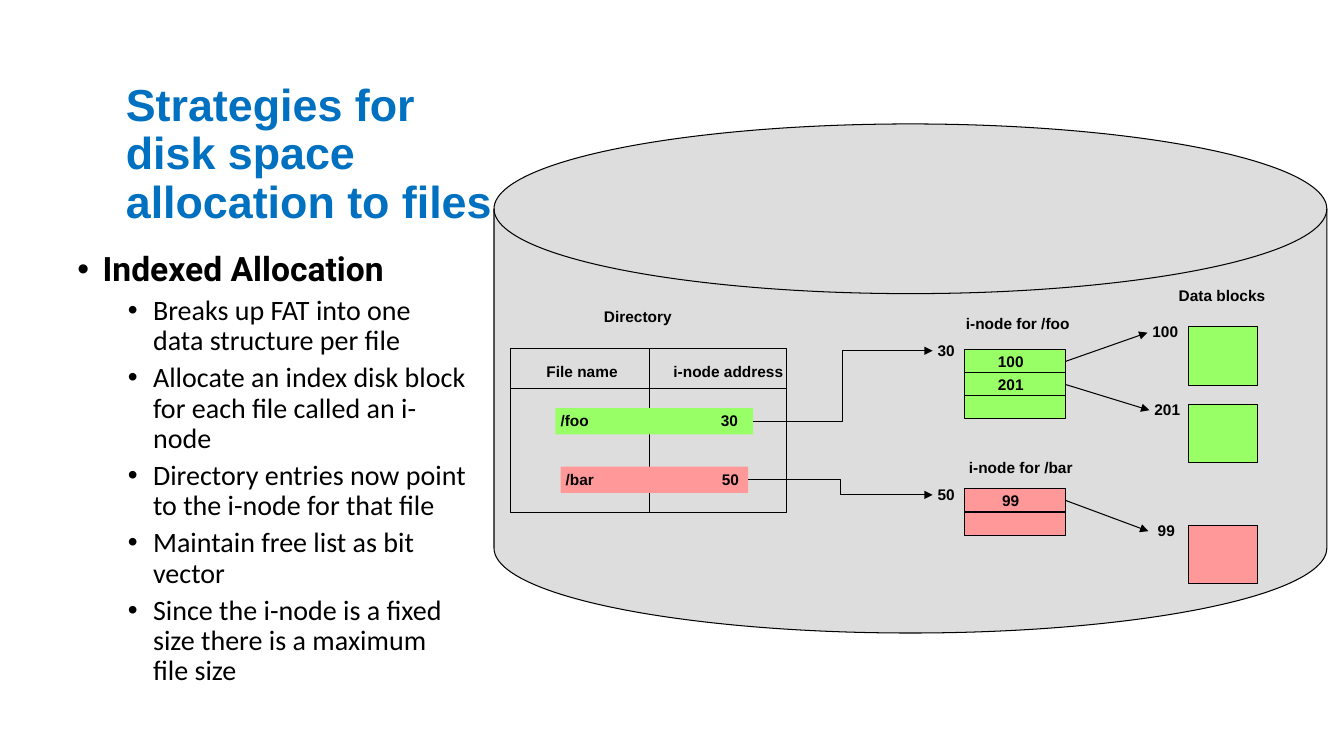
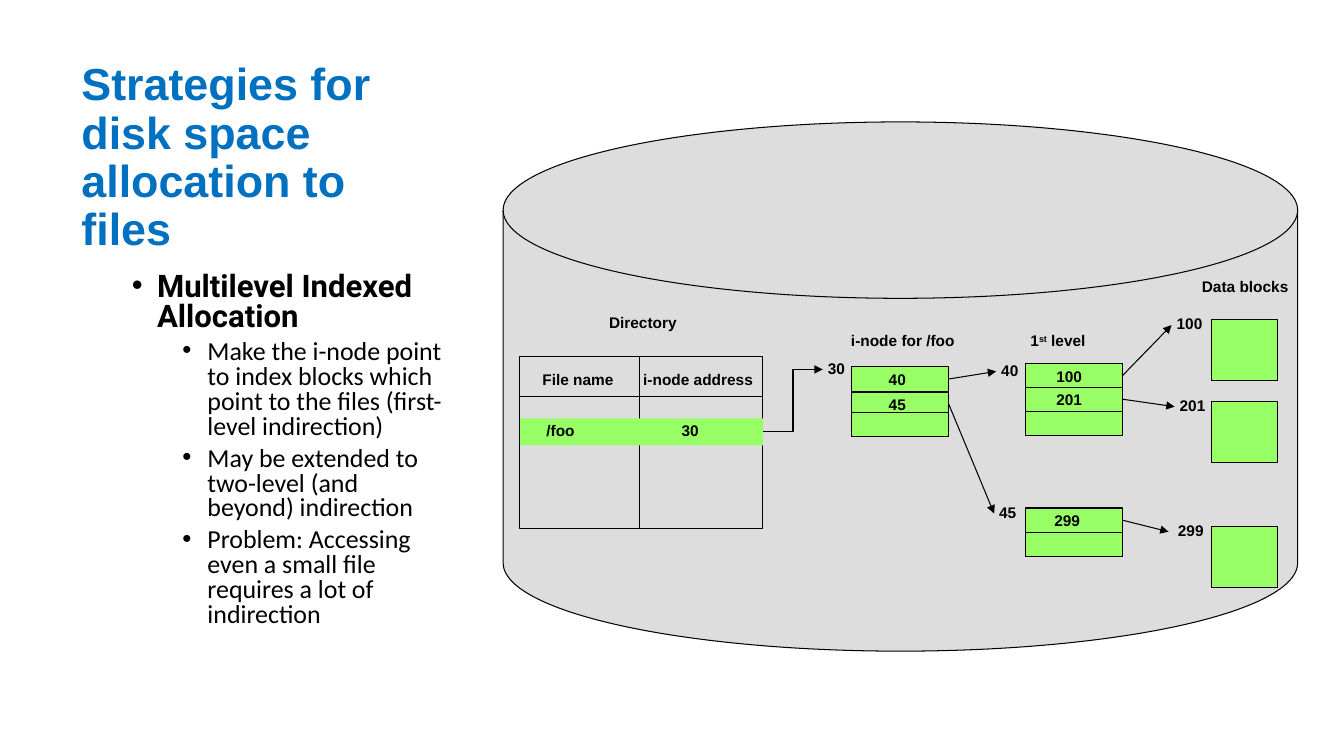
import pptx
import pptx.util
import pptx.dml.color
import pptx.enum.shapes
import pptx.enum.text
import pptx.oxml.ns
import lxml.etree

Inches = pptx.util.Inches
Pt = pptx.util.Pt
SHAPE = pptx.enum.shapes.MSO_SHAPE
CONNECTOR = pptx.enum.shapes.MSO_CONNECTOR
ANCHOR = pptx.enum.text.MSO_ANCHOR
ALIGN = pptx.enum.text.PP_ALIGN
qn = pptx.oxml.ns.qn

BLACK, BLUE, GREY = "000000", "0070C0", "DDDDDD"
GREEN, PINK = "99FF66", "FF9999"
TITLE = "Strategies for disk space allocation to files"
TITLE_FONT = {"name": "Arial", "size": Pt(32), "bold": True}
LABEL_FONT = {"name": "Arial", "size": Pt(11), "bold": True}
LABEL_FRAME = {
    "margin_left": Inches(0.05),
    "margin_right": Inches(0.05),
    "margin_top": Inches(0.03),
    "margin_bottom": Inches(0.03),
    "word_wrap": True,
}


def color(value):
    return pptx.dml.color.RGBColor.from_string(value)


def apply_format(target, values):
    for name, value in values.items():
        setattr(target, name, value)


class DiskDeck:
    """Holds the shared style and draws on the current slide."""

    def __init__(self):
        self.deck = pptx.Presentation()
        self.deck.slide_width = Inches(13.33)
        self.deck.slide_height = Inches(7.5)

    def start(self, row, cell, block):
        self.page = self.deck.slides.add_slide(self.deck.slide_layouts[6])
        self.row, self.cell_size, self.block_size = row, cell, block

    def add_span(self, para, text, font=LABEL_FONT, fill=BLACK):
        span = para.add_run()
        span.text = text
        apply_format(span.font, font)
        span.font.color.rgb = color(fill)
        return span

    def text_box(self, left, top, width, height, frame):
        box = self.page.shapes.add_textbox(*map(Inches, (left, top, width, height)))
        apply_format(box.text_frame, frame)
        return box

    def title(self, left, top, width, height):
        frame = {"word_wrap": True, "vertical_anchor": ANCHOR.MIDDLE}
        box = self.text_box(left, top, width, height, frame)
        para = box.text_frame.paragraphs[0]
        para.line_spacing = 0.9
        self.add_span(para, TITLE, TITLE_FONT, BLUE)

    def body(self, area, heading, points, sizes, spacing):
        frame = self.text_box(*area, {"word_wrap": True}).text_frame
        heading_font = {"name": "Roboto", "size": Pt(sizes[0]), "bold": True}
        point_font = {"name": "Calibri", "size": Pt(sizes[1]), "bold": False}
        lines = [(heading, heading_font, 0.75)]
        lines += [(point, point_font, 1.25) for point in points]
        for index, (text, font, indent) in enumerate(lines):
            para = frame.add_paragraph() if index else frame.paragraphs[0]
            apply_format(para, {"line_spacing": spacing, "space_before": Pt(5)})
            self.add_span(para, text, font)
            self.bullet(para, indent)

    def bullet(self, para, indent):
        properties = para._p.get_or_add_pPr()
        properties.set("marL", str(Inches(indent)))
        properties.set("indent", str(Inches(-0.25)))
        lxml.etree.SubElement(properties, qn("a:buFont")).set("typeface", "Arial")
        lxml.etree.SubElement(properties, qn("a:buChar")).set("char", "•")

    def label(self, text, left, top, width):
        box = self.text_box(left, top, width, self.row, LABEL_FRAME)
        self.add_span(box.text_frame.paragraphs[0], text)
        return box

    def shape(self, area, fill=None, outlined=True, kind=SHAPE.RECTANGLE):
        box = self.page.shapes.add_shape(kind, *map(Inches, area))
        box.shadow.inherit = False
        if fill:
            box.fill.solid()
            box.fill.fore_color.rgb = color(fill)
        else:
            box.fill.background()
        if outlined:
            box.line.color.rgb = color(BLACK)
            box.line.width = Pt(0.75)
        else:
            box.line.fill.background()
        return box

    def disk(self, *area):
        self.shape(area, GREY, kind=SHAPE.FLOWCHART_MAGNETIC_DISK)

    def line(self, start, end, kind=CONNECTOR.STRAIGHT):
        connector = self.page.shapes.add_connector(kind, *map(Inches, (*start, *end)))
        connector.line.color.rgb = color(BLACK)
        connector.line.width = Pt(0.75)
        lxml.etree.SubElement(connector._element.spPr, qn("a:effectLst"))
        return connector

    def arrow(self, source, target, kind=CONNECTOR.STRAIGHT):
        connector = self.line((0, 0), (1, 1), kind)
        connector.begin_connect(source, 3)
        connector.end_connect(target, 1)
        outline = connector._element.spPr.find(qn("a:ln"))
        lxml.etree.SubElement(outline, qn("a:tailEnd")).set("type", "triangle")

    def directory(self, area, divider, columns):
        left, top, width, height = area
        self.shape(area)
        self.line((divider, top), (divider, top + height))
        self.line((left, top + 0.39), (left + width, top + 0.39))
        for text, column in zip(("File name", "i-node address"), columns):
            self.label(text, column, top + 0.1, 1.3)

    def entry(self, left, top, width, fill, name, address, columns):
        bar = self.shape((left, top, width, self.row), fill, outlined=False)
        for text, column in zip((name, address), columns):
            self.label(text, column, top, 0.6)
        return bar

    def cells(self, left, tops, values, fill, shift=0.09):
        stack = []
        for top, value in zip(tops, values):
            cell = self.shape((left, top, *self.cell_size), fill)
            if value:
                frame = cell.text_frame
                apply_format(frame, LABEL_FRAME)
                frame.margin_right = Inches(0.05 + shift)
                frame.vertical_anchor = ANCHOR.MIDDLE
                frame.paragraphs[0].alignment = ALIGN.CENTER
                self.add_span(frame.paragraphs[0], value)
            stack.append(cell)
        return stack

    def block(self, left, top, fill):
        self.shape((left, top, *self.block_size), fill)


def indexed_slide(style):
    style.start(row=0.26, cell=(1, 0.23), block=(0.68, 0.58))
    style.title(1.15, 0.64, 4, 1.8)
    style.body((0.17, 2.46, 4.56, 5), "Indexed Allocation", [
        "Breaks up FAT into one data structure per file",
        "Allocate an index disk block for each file called an i-node",
        "Directory entries now point to the i-node for that file",
        "Maintain free list as bit vector",
        "Since the i-node is a fixed size there is a maximum file size",
    ], (24, 20), 0.9)
    style.disk(4.9, 1.23, 8.26, 5.05)
    style.label("Directory", 5.94, 3.02, 1.1)
    style.directory((5.06, 3.46, 2.74, 1.63), 6.44, (5.37, 6.63))
    foo = style.entry(5.51, 4.05, 1.96, GREEN, "/foo", "30", (5.51, 7.1))
    bar = style.entry(5.56, 4.63, 1.86, PINK, "/bar", "50", (5.56, 7.11))
    style.label("i-node for /foo", 9.53, 3.09, 1.25)
    style.label("i-node for /bar", 9.56, 4.52, 1.28)
    style.label("Data blocks", 11.64, 2.81, 1.12)
    foo_cells = style.cells(9.57, (3.47, 3.7, 3.92), ("100", "201", ""), GREEN)
    bar_cells = style.cells(9.57, (4.85, 5.08), ("99", ""), PINK)
    for entry, address, top in ((foo, "30", 3.35), (bar, "50", 4.78)):
        style.arrow(entry, style.label(address, 9.25, top, 0.4), CONNECTOR.ELBOW)
    for cell, number, left, top, fill in (
        (foo_cells[0], "100", 11.38, 3.17, GREEN),
        (foo_cells[1], "201", 11.4, 3.94, GREEN),
        (bar_cells[0], " 99", 11.39, 5.14, PINK),
    ):
        style.block(11.79, top + 0.07, fill)
        style.arrow(cell, style.label(number, left, top, 0.54))


def multilevel_slide(style):
    style.start(row=0.27, cell=(0.96, 0.24), block=(0.65, 0.61))
    style.title(0.71, 0.69, 3.83, 1.77)
    style.body((0.71, 2.67, 3.83, 4.14), "Multilevel Indexed Allocation", [
        "Make the i-node point to index blocks which point to the files "
        "(first-level indirection)",
        "May be extended to two-level (and beyond) indirection",
        "Problem: Accessing even a small file requires a lot of indirection",
    ], (22.2, 18.5), 0.8)
    style.disk(4.99, 1.21, 7.88, 5.25)
    style.label("Directory", 5.99, 3.08, 1.05)
    style.directory((5.15, 3.54, 2.41, 1.7), 6.34, (5.33, 6.33))
    foo = style.entry(5.16, 4.15, 2.41, GREEN, "/foo", "30", (5.37, 6.71))
    style.label("i-node for /foo", 8.39, 3.26, 1.19)
    style.label("Data blocks", 11.87, 2.72, 1.07)
    level = style.label("1", 10.17, 3.26, 0.85).text_frame.paragraphs[0]
    ordinal = style.add_span(level, "st")
    ordinal._r.get_or_add_rPr().set("baseline", "30000")
    style.add_span(level, " level")
    inode = style.cells(8.45, (3.64, 3.89, 4.09), ("40", "45", ""), GREEN, 0.06)
    first = style.cells(10.17, (3.61, 3.84, 4.08), ("100", "201", ""), GREEN)
    second = style.cells(10.17, (5.04, 5.28), ("299", ""), GREEN, 0.13)
    style.arrow(foo, style.label("30", 8.16, 3.53, 0.38), CONNECTOR.ELBOW)
    for cell, address, left, top in (
        (inode[0], "40", 9.88, 3.55),
        (inode[1], "45", 9.86, 4.96),
    ):
        style.arrow(cell, style.label(address, left, top, 0.42))
    for cell, number, left, top in (
        (first[0], "100", 11.62, 3.09),
        (first[1], "201", 11.65, 3.9),
        (second[0], " 299", 11.59, 5.14),
    ):
        style.block(12.02, top + 0.08, GREEN)
        style.arrow(cell, style.label(number, left, top, 0.55))


def main():
    style = DiskDeck()
    indexed_slide(style)
    multilevel_slide(style)
    style.deck.save("out.pptx")


if __name__ == "__main__":
    main()
